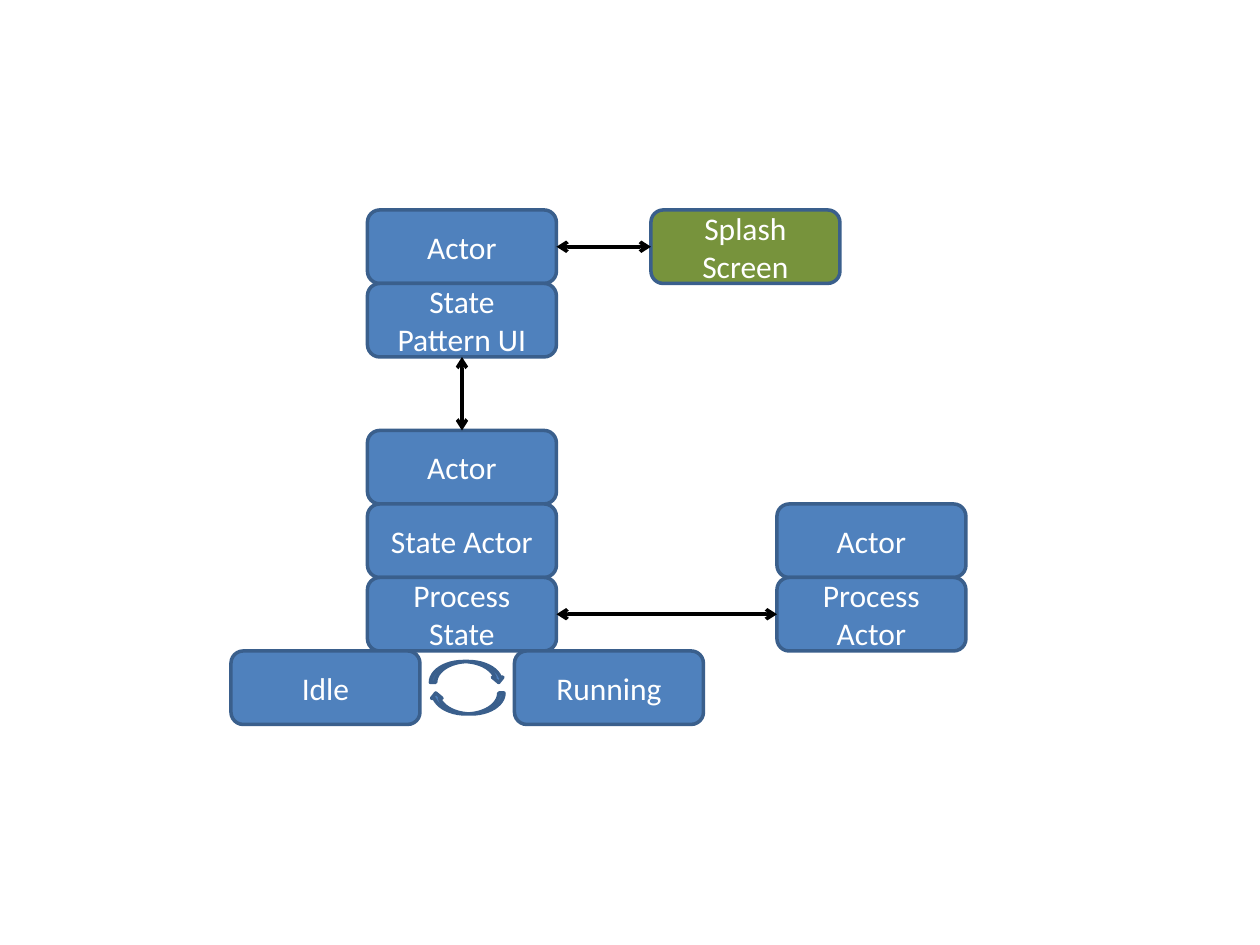
from dataclasses import dataclass

from pptx import Presentation
from pptx.dml.color import RGBColor
from pptx.enum.shapes import MSO_CONNECTOR, MSO_SHAPE
from pptx.enum.text import MSO_ANCHOR, PP_ALIGN
from pptx.oxml.ns import qn
from pptx.util import Inches, Pt
from lxml.etree import SubElement

TOP, LEFT, BOTTOM, RIGHT = range(4)


@dataclass(frozen=True)
class Theme:
    """Colours, type and line sizes of the diagram."""

    blue: RGBColor = RGBColor.from_string("4F81BD")
    green: RGBColor = RGBColor.from_string("77933C")
    outline: RGBColor = RGBColor.from_string("3A5F8C")
    arrow: RGBColor = RGBColor.from_string("000000")
    text: RGBColor = RGBColor.from_string("FFFFFF")
    font: str = "Calibri"
    text_size: Pt = Pt(18)
    line_width: Pt = Pt(2)


class Diagram:
    """Draws on one slide, measured on a grid of 120 columns by 90 rows."""

    columns, rows = 120, 90
    box_width, box_height = 18, 7

    def __init__(self, presentation, theme):
        """Add a blank slide and work out the size of a grid cell."""
        self.theme = theme
        self.slide = presentation.slides.add_slide(presentation.slide_layouts[6])
        self.column = presentation.slide_width / self.columns
        self.row = presentation.slide_height / self.rows

    def shape(self, kind, column, row, width, height, fill):
        """Add an outlined preset shape."""
        shape = self.slide.shapes.add_shape(
            kind, round(column * self.column), round(row * self.row),
            round(width * self.column), round(height * self.row))
        shape.shadow.inherit = False
        shape.fill.solid()
        shape.fill.fore_color.rgb = fill
        shape.line.color.rgb = self.theme.outline
        shape.line.width = self.theme.line_width
        return shape

    def box(self, label, column, row, fill=None):
        """Add a rounded box with a centred label."""
        shape = self.shape(MSO_SHAPE.ROUNDED_RECTANGLE, column, row,
                           self.box_width, self.box_height, fill or self.theme.blue)
        frame = shape.text_frame
        frame.word_wrap = True
        frame.vertical_anchor = MSO_ANCHOR.MIDDLE
        paragraph = frame.paragraphs[0]
        paragraph.alignment = PP_ALIGN.CENTER
        run = paragraph.add_run()
        run.text = label
        run.font.name = self.theme.font
        run.font.size = self.theme.text_size
        run.font.color.rgb = self.theme.text
        return shape

    def stack(self, column, row, *labels):
        """Add boxes directly below one another."""
        return [self.box(label, column, row + index * self.box_height)
                for index, label in enumerate(labels)]

    def curved_arrow(self, column, row, rotation=0):
        """Add a curved transition arrow."""
        shape = self.shape(MSO_SHAPE.CURVED_DOWN_ARROW, column, row, 7, 2, self.theme.blue)
        shape.rotation = rotation

    def link(self, start, start_side, end, end_side):
        """Join two boxes with a double-headed arrow."""
        connector = self.slide.shapes.add_connector(MSO_CONNECTOR.STRAIGHT, 0, 0, 0, 0)
        connector.begin_connect(start, start_side)
        connector.end_connect(end, end_side)
        connector.line.color.rgb = self.theme.arrow
        connector.line.width = self.theme.line_width
        properties = connector._element.spPr
        line = properties.find(qn("a:ln"))
        for tag in ("a:headEnd", "a:tailEnd"):
            SubElement(line, qn(tag), type="arrow")
        SubElement(properties, qn("a:effectLst"))


def main():
    """Build the actor and state diagram."""
    presentation = Presentation()
    presentation.slide_width = Inches(10)
    presentation.slide_height = Inches(7.5)
    theme = Theme()
    diagram = Diagram(presentation, theme)

    actor, _, process_state = diagram.stack(35, 41, "Actor", "State Actor", "Process State")
    _, process_actor = diagram.stack(74, 48, "Actor", "Process Actor")
    diagram.box("Running", 49, 62)
    diagram.box("Idle", 22, 62)
    interface_actor, state_pattern = diagram.stack(35, 20, "Actor", "State Pattern UI")
    splash_screen = diagram.box("Splash Screen", 62, 20, theme.green)

    diagram.curved_arrow(41, 63)
    diagram.curved_arrow(41, 66, rotation=180)

    diagram.link(actor, TOP, state_pattern, BOTTOM)
    diagram.link(process_actor, LEFT, process_state, RIGHT)
    diagram.link(splash_screen, LEFT, interface_actor, RIGHT)
    presentation.save("out.pptx")


if __name__ == "__main__":
    main()
